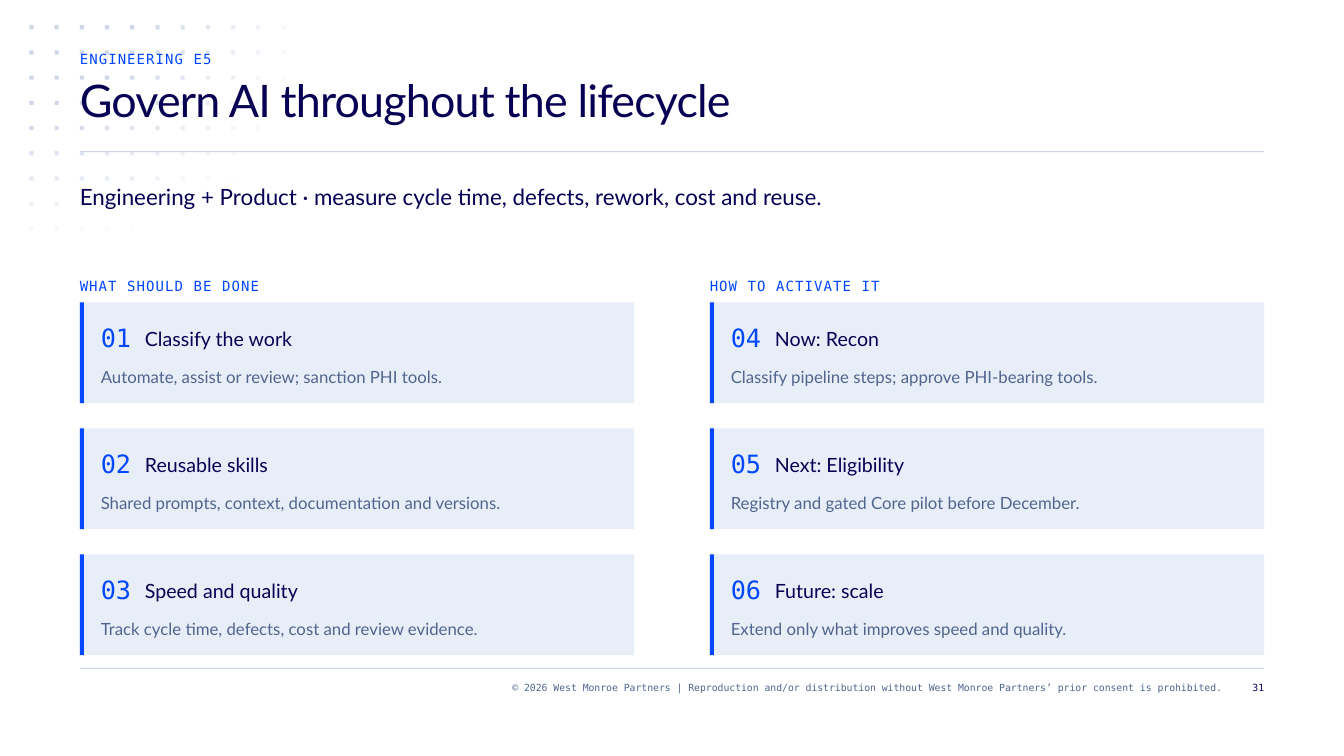
from math import hypot

from lxml import etree
from pptx import Presentation
from pptx.dml.color import RGBColor
from pptx.enum.shapes import MSO_SHAPE
from pptx.enum.text import PP_ALIGN
from pptx.oxml.ns import qn
from pptx.util import Pt

RECTANGLE = MSO_SHAPE.RECTANGLE
LEFT, RIGHT = PP_ALIGN.LEFT, PP_ALIGN.RIGHT
SANS, MONO = "Lato", "DejaVu Sans Mono"
NAVY, BLUE, SLATE = "070154", "0047FF", "50658E"
LINE, CARD = "CED7E6", "E8EEF8"
MARGIN, CONTENT_WIDTH = 57, 846

deck = Presentation()
deck.slide_width, deck.slide_height = Pt(960), Pt(540)
slide = deck.slides.add_slide(deck.slide_layouts[6])


def add_block(left, top, width, height, color, opacity=100):
    """Add a plain filled rectangle; opacity is a percentage."""
    block = slide.shapes.add_shape(RECTANGLE, Pt(left), Pt(top), Pt(width), Pt(height))
    block.shadow.inherit = False
    block.line.fill.background()
    block.fill.solid()
    block.fill.fore_color.rgb = RGBColor.from_string(color)
    if opacity < 100:
        tint = block.fill._xPr.find(qn("a:solidFill"))[0]
        etree.SubElement(tint, qn("a:alpha")).set("val", str(opacity * 1000))


def add_text(text, left, top, width, height, font, size, leading, color,
             align=LEFT, tracking=0):
    """Add one line of text; tracking is in hundredths of a point."""
    box = slide.shapes.add_textbox(Pt(left), Pt(top), Pt(width), Pt(height))
    frame = box.text_frame
    frame.word_wrap = True
    frame.margin_left = frame.margin_right = frame.margin_top = frame.margin_bottom = 0
    para = frame.paragraphs[0]
    para.text = text
    para.alignment = align
    para.line_spacing = Pt(leading)
    para.font.name = font
    para.font.size = Pt(size)
    para.font.color.rgb = RGBColor.from_string(color)
    if tracking:
        para.runs[0]._r.get_or_add_rPr().set("spc", str(tracking))


# Dot grid that fades out along an ellipse around its top left corner
for column in range(11):
    for row in range(9):
        distance = hypot(column / 11.08, row / 9.08)
        opacity = min(100, int(153 * (1 - distance)))
        if opacity >= 2:
            add_block(21 + 18 * column, 18 + 18 * row, 3, 3, LINE, opacity)

# Header and footer
for rule_top in (108, 477):
    add_block(MARGIN, rule_top, CONTENT_WIDTH, 0.75, LINE)
add_text("ENGINEERING E5", MARGIN, 36, CONTENT_WIDTH, 12, MONO, 10, 12, BLUE, tracking=80)
add_text("Govern AI throughout the lifecycle", MARGIN, 54, CONTENT_WIDTH, 54,
         SANS, 32, 36, NAVY, tracking=-60)
add_text("Engineering + Product · measure cycle time, defects, rework, cost and reuse.",
         MARGIN, 126, CONTENT_WIDTH, 24, SANS, 16, 24, NAVY)
add_text("© 2026 West Monroe Partners | Reproduction and/or distribution without "
         "West Monroe Partners’ prior consent is prohibited.",
         171, 486, 702, 18, MONO, 7, 9, SLATE, RIGHT)
add_text("31", 879, 486, 24, 18, MONO, 7, 9, NAVY, RIGHT)

# Two columns of numbered cards
columns = [
    ("WHAT SHOULD BE DONE", [
        ("Classify the work", "Automate, assist or review; sanction PHI tools."),
        ("Reusable skills", "Shared prompts, context, documentation and versions."),
        ("Speed and quality", "Track cycle time, defects, cost and review evidence."),
    ]),
    ("HOW TO ACTIVATE IT", [
        ("Now: Recon", "Classify pipeline steps; approve PHI-bearing tools."),
        ("Next: Eligibility", "Registry and gated Core pilot before December."),
        ("Future: scale", "Extend only what improves speed and quality."),
    ]),
]
number = 0
for column, (heading, cards) in enumerate(columns):
    left = MARGIN + 450 * column
    add_text(heading, left, 198, 396, 12, MONO, 10, 12, BLUE, tracking=80)
    for row, (title, detail) in enumerate(cards):
        number += 1
        top = 216 + 90 * row
        add_block(left, top, 396, 72, CARD)
        add_block(left, top, 3, 72, BLUE)
        add_text(f"{number:02}", left + 15, top + 12, 22.5, 24, MONO, 18, 24, BLUE)
        add_text(title, left + 46.5, top + 13.5, 337.5, 21, SANS, 14, 21, NAVY)
        add_text(detail, left + 15, top + 42, 369, 18, SANS, 12, 18, SLATE)

deck.save("out.pptx")
